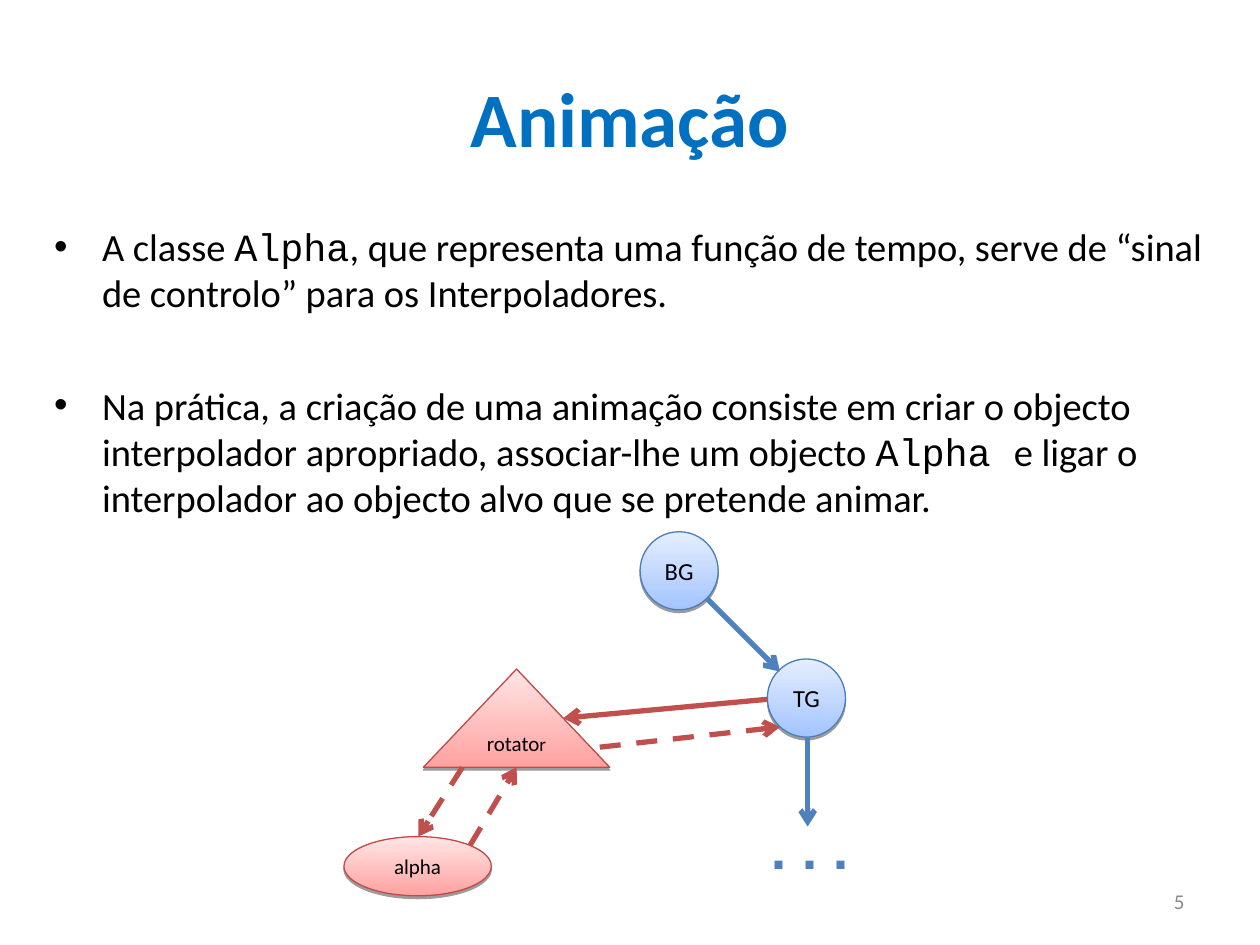
from typing import NamedTuple

from lxml.etree import SubElement
from pptx import Presentation
from pptx.dml.color import RGBColor
from pptx.enum.dml import MSO_LINE_DASH_STYLE as Dash
from pptx.enum.shapes import MSO_CONNECTOR_TYPE as Connector, MSO_SHAPE as Shape
from pptx.enum.text import MSO_ANCHOR as Anchor, MSO_AUTO_SIZE as AutoSize, PP_ALIGN as Align
from pptx.oxml.ns import qn
from pptx.util import Inches, Pt

COLUMNS, ROWS = 100, 75
BLUE, RED = "4F81BD", "C0504D"
CODE_FONT = "Courier New"


class Palette(NamedTuple):
    bottom: str
    top: str
    outline: str


class Node(NamedTuple):
    kind: Shape
    box: tuple
    palette: Palette
    runs: list


class Arrow(NamedTuple):
    start: tuple
    end: tuple
    color: str
    dashed: bool = False


BLUE_FILL = Palette("A3C4FF", "E5EEFF", "4A7EBB")
RED_FILL = Palette("FFA2A1", "FFE5E5", "BE4B48")

# Scene graph, in grid columns and rows
NODES = [
    Node(Shape.ISOSCELES_TRIANGLE, (33.6, 53.1, 14.8, 7.8), RED_FILL,
         [("rotato", {}), ("r", {"size": 11})]),
    Node(Shape.OVAL, (50.8, 42.2, 6.2, 6.2), BLUE_FILL, [("BG", {"size": 14})]),
    Node(Shape.OVAL, (60.9, 52.3, 6.2, 6.2), BLUE_FILL, [("TG", {"size": 14})]),
    Node(Shape.OVAL, (27.3, 66.4, 11.7, 4.7), RED_FILL, [("alpha", {})]),
]
ARROWS = [
    Arrow((60.9, 55.5), (44.7, 57), RED),
    Arrow((47.6, 59.3), (61.9, 57.7), RED, True),
    Arrow((36.7, 60.9), (33.2, 66.4), RED, True),
    Arrow((37.3, 67.1), (41, 60.9), RED, True),
    Arrow((56.1, 47.5), (61.9, 53.3), BLUE),
    Arrow((64.1, 58.6), (64.1, 65.6), BLUE),
]
BULLETS = [
    [("A classe ", {}), ("Alpha", {"font": CODE_FONT}),
     (", que representa uma função de tempo, serve de “sinal de controlo” "
      "para os Interpoladores.", {})],
    [("Na prática, a criação de uma animação consiste em criar o objecto "
      "interpolador apropriado, associar-lhe um objecto ", {}),
     ("Alpha ", {"font": CODE_FONT}),
     ("e ligar o interpolador ao objecto alvo que se pretende animar.", {})],
]

presentation = Presentation()
presentation.slide_width, presentation.slide_height = Inches(10), Inches(7.5)
slide = presentation.slides.add_slide(presentation.slide_layouts[1])


def rgb(color: str) -> RGBColor:
    return RGBColor.from_string(color)


def across(columns: float) -> int:
    return round(presentation.slide_width * columns / COLUMNS)


def down(rows: float) -> int:
    return round(presentation.slide_height * rows / ROWS)


def grid(left: float, top: float, width: float, height: float) -> tuple:
    return across(left), down(top), across(width), down(height)


def place(shape, box: tuple) -> None:
    shape.left, shape.top, shape.width, shape.height = grid(*box)


def write(paragraph, text: str, size: float = 12, font: str = "Calibri",
          color: str = "000000", bold: bool = False, align=None) -> None:
    run = paragraph.add_run()
    run.text = text
    run.font.size, run.font.name, run.font.bold = Pt(size), font, bold
    run.font.color.rgb = rgb(color)
    if align is not None:
        paragraph.alignment = align


def add_text(box: tuple, text: str, anchor=Anchor.TOP, **text_format) -> None:
    frame = slide.shapes.add_textbox(*grid(*box)).text_frame
    frame.word_wrap, frame.vertical_anchor = True, anchor
    write(frame.paragraphs[0], text, **text_format)


def add_shadow(shape) -> None:
    shape.shadow.inherit = False
    effects = shape._element.spPr.find(qn("a:effectLst"))
    shadow = SubElement(effects, qn("a:outerShdw"), blurRad="0", dist=str(Pt(1.6)),
                        dir="5400000", rotWithShape="0")
    black = SubElement(shadow, qn("a:srgbClr"), val="000000")
    SubElement(black, qn("a:alpha"), val="38000")


def add_node(node: Node) -> None:
    shape = slide.shapes.add_shape(node.kind, *grid(*node.box))
    shape.fill.gradient()
    shape.fill.gradient_angle = 90
    for stop, color in zip(shape.fill.gradient_stops, node.palette):
        stop.color.rgb = rgb(color)
    shape.line.color.rgb, shape.line.width = rgb(node.palette.outline), Pt(0.75)
    add_shadow(shape)
    frame = shape.text_frame
    frame.vertical_anchor = Anchor.MIDDLE
    for text, text_format in node.runs:
        write(frame.paragraphs[0], text, align=Align.CENTER, **text_format)


def add_arrow(arrow: Arrow) -> None:
    (x1, y1), (x2, y2) = arrow.start, arrow.end
    connector = slide.shapes.add_connector(
        Connector.STRAIGHT, across(x1), down(y1), across(x2), down(y2))
    line = connector.line
    line.color.rgb, line.width = rgb(arrow.color), Pt(3)
    if arrow.dashed:
        line.dash_style = Dash.DASH
    properties = connector._element.spPr
    SubElement(properties.find(qn("a:ln")), qn("a:tailEnd"), type="arrow")
    SubElement(properties, qn("a:effectLst"))


# Title
title = slide.shapes.title
place(title, (5, 3, 90, 12.5))
title.text_frame.vertical_anchor = Anchor.MIDDLE
write(title.text_frame.paragraphs[0], "Animação", size=44, color="0070C0",
      bold=True, align=Align.CENTER)

# Bulleted list
body = slide.placeholders[1]
place(body, (3.3, 17.2, 94.2, 52))
frame = body.text_frame
frame.auto_size = AutoSize.NONE
for index, runs in enumerate(BULLETS):
    paragraph = frame.add_paragraph() if index else frame.paragraphs[0]
    paragraph.space_before = Pt(37.8 if index else 0)
    properties = paragraph._p.get_or_add_pPr()
    properties.set("marL", str(Inches(0.38)))
    properties.set("indent", str(Inches(-0.38)))
    SubElement(properties, qn("a:buFont"), typeface="Arial")
    SubElement(properties, qn("a:buChar"), char="•")
    for text, text_format in runs:
        write(paragraph, text, size=22, **text_format)

# Diagram
for node in NODES:
    add_node(node)
for arrow in ARROWS:
    add_arrow(arrow)
add_text((60.2, 64.1, 8.2, 6.4), ". . .", size=32, font="Arial", color=BLUE, bold=True)

# Slide number
add_text((71.7, 69.5, 23.3, 4), "5", anchor=Anchor.MIDDLE, color="898989", align=Align.RIGHT)

presentation.save("out.pptx")
